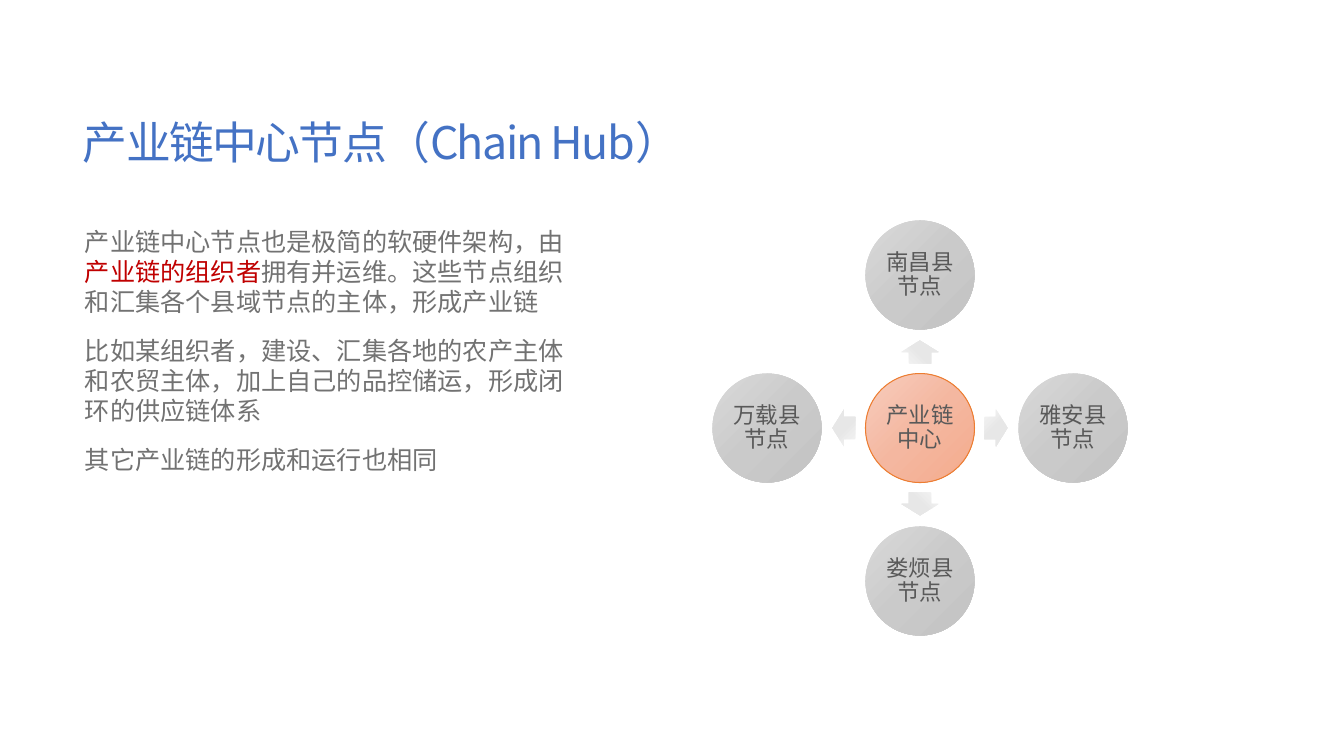
import copy
import pptx
import pptx.dml.color
import pptx.enum.shapes
import pptx.enum.text
import pptx.oxml.ns
import pptx.util

RGB = pptx.dml.color.RGBColor
SHAPE = pptx.enum.shapes.MSO_SHAPE
ALIGN = pptx.enum.text.PP_ALIGN
ANCHOR = pptx.enum.text.MSO_ANCHOR
Pt = pptx.util.Pt
qn = pptx.oxml.ns.qn

FONT = "Noto Sans CJK SC"
BLUE = RGB(0x44, 0x72, 0xC4)
GREY = RGB(0x72, 0x72, 0x72)
RED = RGB(0xC0, 0x00, 0x00)
DARK = RGB(0x59, 0x59, 0x59)
ORANGE = RGB(0xED, 0x7D, 0x31)
HUB_FILL = (RGB(0xF7, 0xCD, 0xBE), RGB(0xF4, 0xB7, 0xA0), RGB(0xF4, 0xAB, 0x8D))
NODE_FILL = (RGB(0xDA, 0xDA, 0xDA), RGB(0xCA, 0xCA, 0xCA), RGB(0xC3, 0xC3, 0xC3))
ARROW_FILL = (RGB(0xF5, 0xF5, 0xF5), RGB(0xE7, 0xE7, 0xE7), RGB(0xE4, 0xE4, 0xE4))

TITLE = "产业链中心节点（Chain Hub）"
BODY = [
    [("产业链中心节点也是极简的软硬件架构，由", GREY),
     ("产业链的组织者", RED),
     ("拥有并运维。这些节点组织和汇集各个县域节点的主体，形成产业链", GREY)],
    [("比如某组织者，建设、汇集各地的农产主体和农贸主体，加上自己的品控储运，"
      "形成闭环的供应链体系", GREY)],
    [("其它产业链的形成和运行也相同", GREY)],
]
HUB = "产业链中心"
# name, horizontal step, vertical step, arrow rotation
NODES = [
    ("南昌县节点", 0, -1, 270),
    ("雅安县节点", 1, 0, 0),
    ("娄烦县节点", 0, 1, 90),
    ("万载县节点", -1, 0, 180),
]

CENTER_X, CENTER_Y = 920, 428
DIAMETER = 109
NODE_STEP = 153
ARROW_STEP = 76
ARROW_W, ARROW_H = 23, 37


def px(n):
    """Turn pixels into EMU."""
    return round(n * 914400 / 100.8)


def style_run(r, size, color):
    """Set font, size and colour of a run."""
    r.font.name = FONT
    r.font.size = Pt(size)
    r.font.color.rgb = color
    ea = r._r.get_or_add_rPr().makeelement(qn("a:ea"), {"typeface": FONT})
    r.font._element.find(qn("a:latin")).addnext(ea)


def add_box(slide, x, y, w, h):
    """Add a wrapping text box and return its text frame."""
    tf = slide.shapes.add_textbox(px(x), px(y), px(w), px(h)).text_frame
    tf.word_wrap = True
    return tf


def add_gradient_shape(slide, kind, cx, cy, w, h, colors):
    """Add a centred shape with an even diagonal gradient and no line."""
    sp = slide.shapes.add_shape(kind, px(cx - w / 2), px(cy - h / 2), px(w), px(h))
    sp.shadow.inherit = False
    sp.line.fill.background()
    sp.fill.gradient()
    sp.fill.gradient_angle = 315
    first = sp._element.spPr.find(".//" + qn("a:gs"))
    first.addnext(copy.deepcopy(first))
    for i, (stop, color) in enumerate(zip(sp.fill.gradient_stops, colors)):
        stop.position = i / (len(colors) - 1)
        stop.color.rgb = color
    return sp


def add_circle(slide, name, cx, cy, colors):
    """Add a labelled circle."""
    sp = add_gradient_shape(slide, SHAPE.OVAL, cx, cy, DIAMETER, DIAMETER, colors)
    tf = sp.text_frame
    tf.word_wrap = True
    tf.vertical_anchor = ANCHOR.MIDDLE
    tf.margin_left = tf.margin_right = tf.margin_top = tf.margin_bottom = px(2)
    tf.text = name
    p = tf.paragraphs[0]
    p.alignment = ALIGN.CENTER
    p.line_spacing = 0.9
    style_run(p.runs[0], 16, DARK)
    return sp


def add_title(slide):
    """Add the slide title."""
    tf = add_box(slide, 73, 55, 1187, 182)
    tf.vertical_anchor = ANCHOR.MIDDLE
    tf.text = TITLE
    p = tf.paragraphs[0]
    p.line_spacing = 0.85
    style_run(p.runs[0], 32, BLUE)
    p.runs[0].font._element.set("spc", "-120")


def add_body(slide):
    """Add the explanatory paragraphs."""
    tf = add_box(slide, 75, 221, 514, 415)
    for i, parts in enumerate(BODY):
        p = tf.add_paragraph() if i else tf.paragraphs[0]
        p.space_before = Pt(13)
        for text, color in parts:
            r = p.add_run()
            r.text = text
            style_run(r, 18, color)


def add_diagram(slide):
    """Add the hub with its surrounding nodes and arrows."""
    hub = add_circle(slide, HUB, CENTER_X, CENTER_Y, HUB_FILL)
    hub.line.color.rgb = ORANGE
    hub.line.width = Pt(0.75)
    for name, dx, dy, angle in NODES:
        arrow = add_gradient_shape(
            slide, SHAPE.RIGHT_ARROW, CENTER_X + dx * ARROW_STEP,
            CENTER_Y + dy * ARROW_STEP, ARROW_W, ARROW_H, ARROW_FILL)
        arrow.adjustments[0] = 0.6
        arrow.adjustments[1] = 0.5
        arrow.rotation = angle
        add_circle(slide, name, CENTER_X + dx * NODE_STEP,
                   CENTER_Y + dy * NODE_STEP, NODE_FILL)


prs = pptx.Presentation()
prs.slide_width, prs.slide_height = px(1344), px(756)
slide = prs.slides.add_slide(prs.slide_layouts[6])
add_title(slide)
add_body(slide)
add_diagram(slide)
prs.save("out.pptx")
